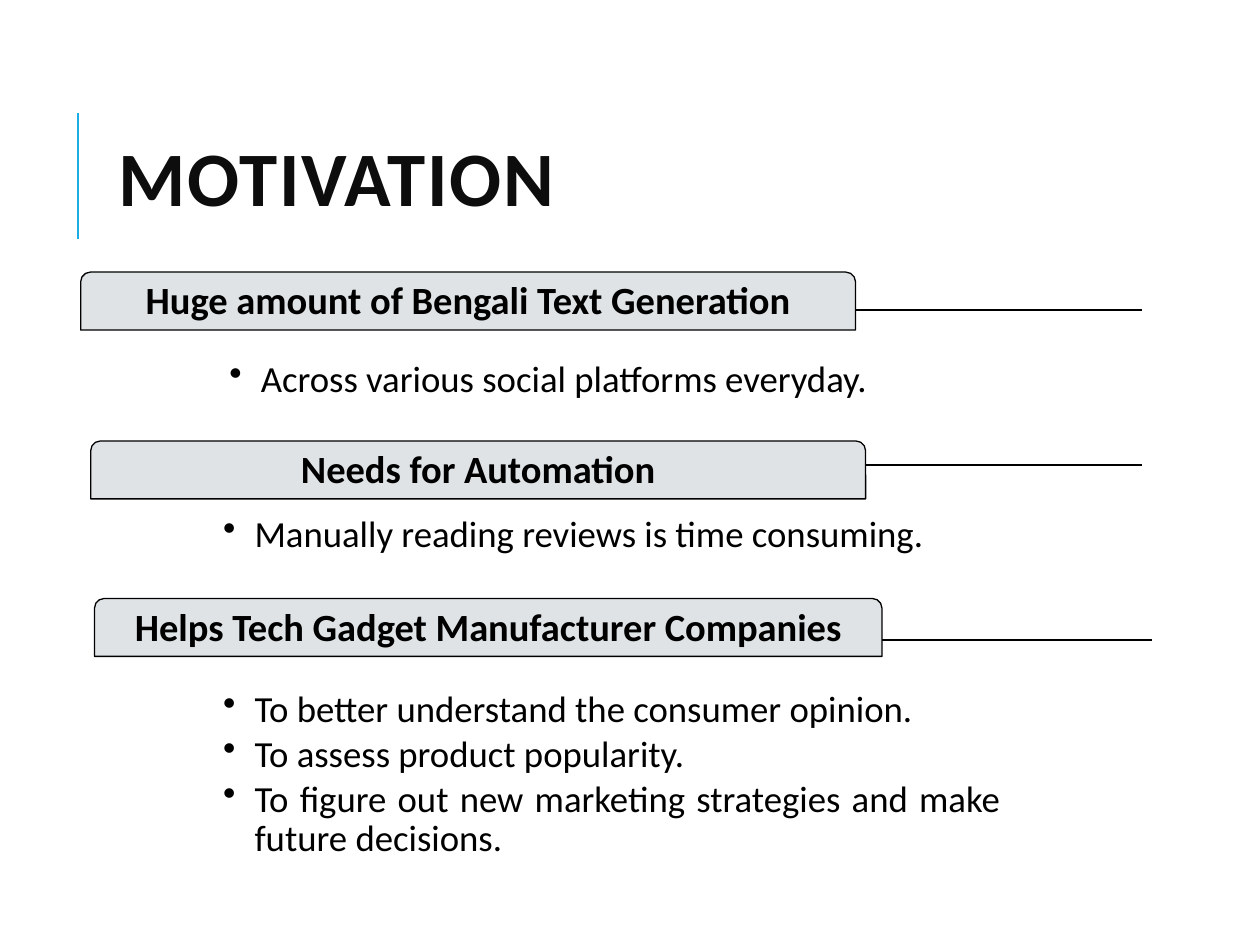
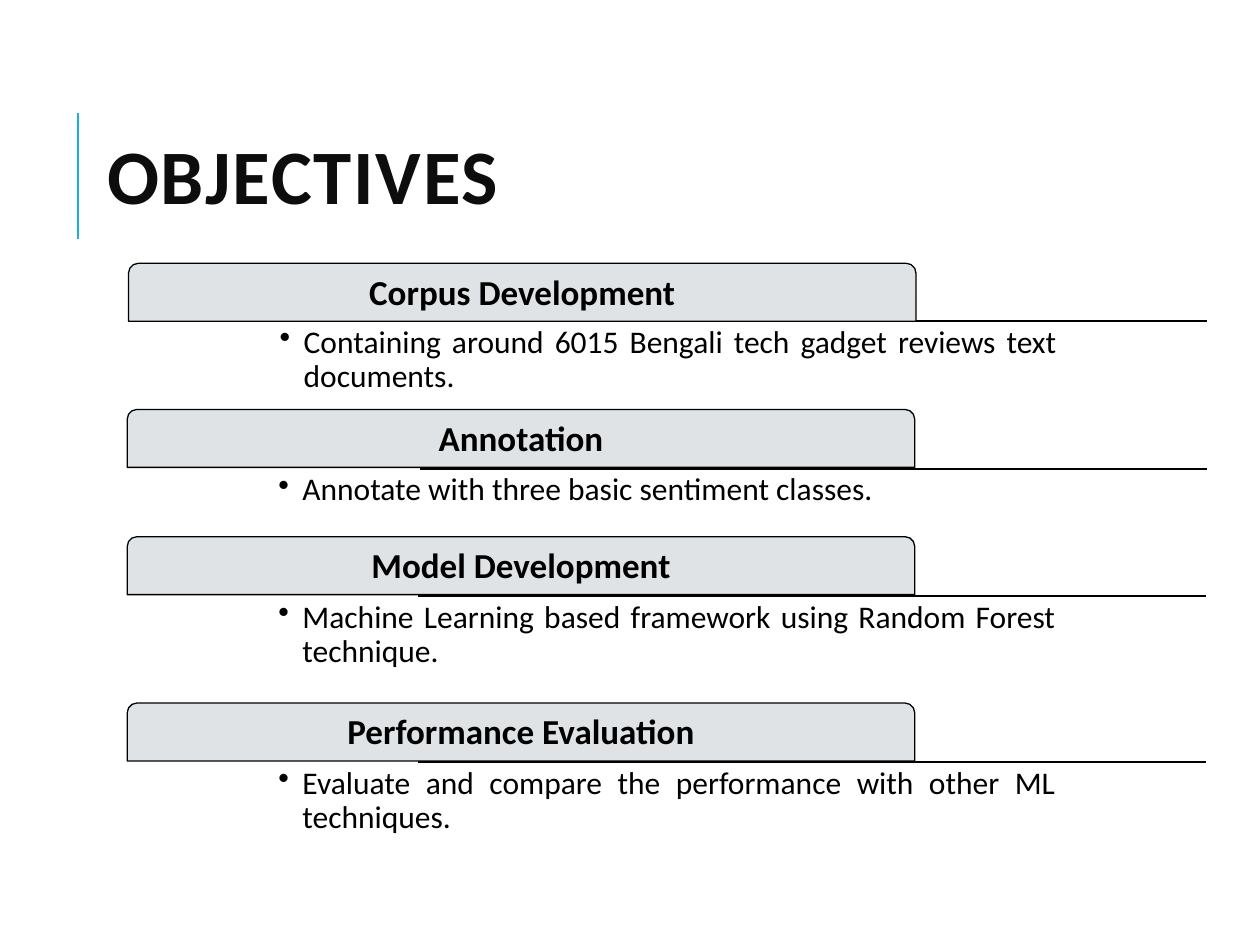
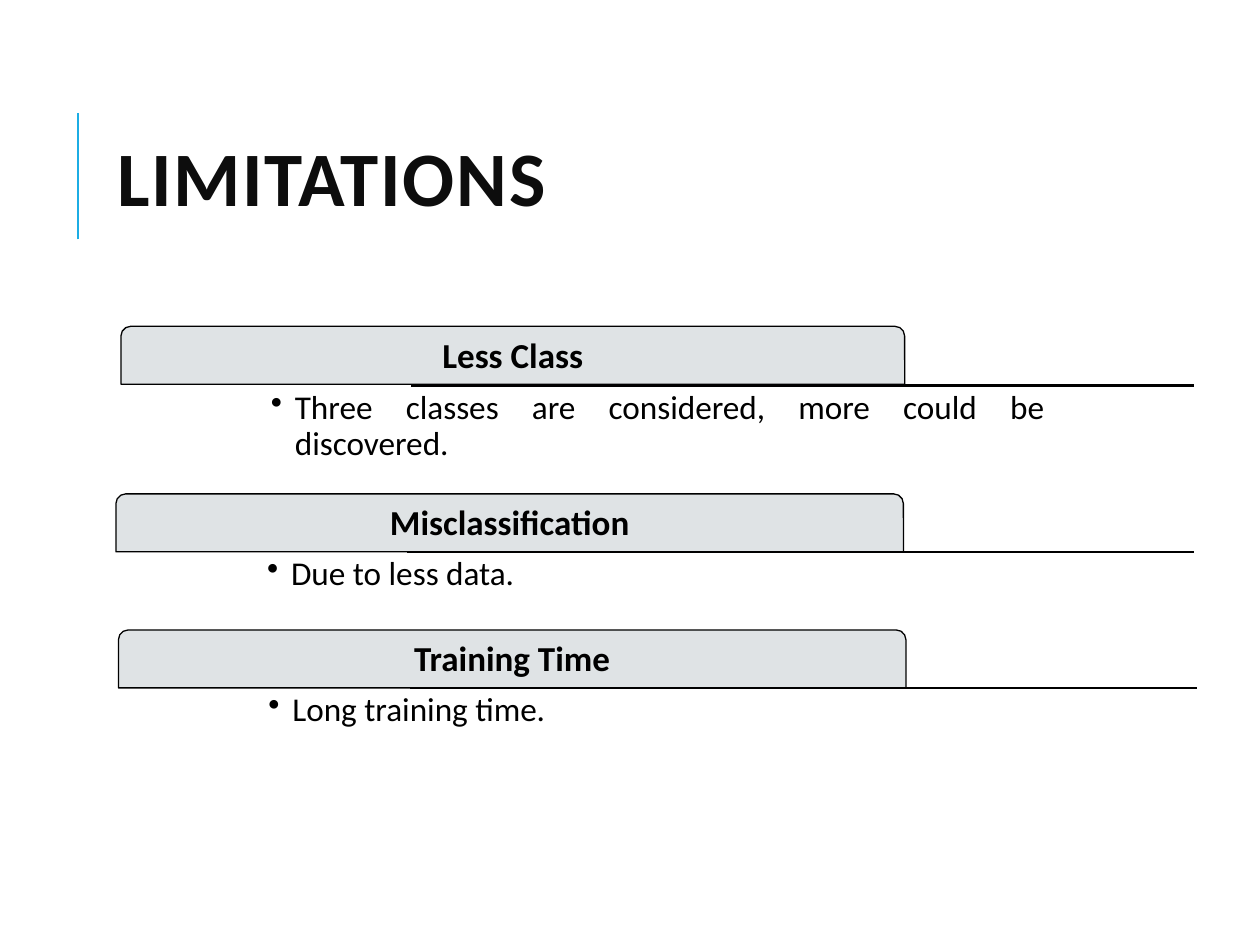
import pptx
import pptx.dml.color
import pptx.enum.shapes
import pptx.enum.text
import pptx.oxml.ns
import pptx.util
from lxml import etree

Inches = pptx.util.Inches
Pt = pptx.util.Pt
ALIGN = pptx.enum.text.PP_ALIGN
ANCHOR = pptx.enum.text.MSO_ANCHOR
qn = pptx.oxml.ns.qn


def rgb(value):
    return pptx.dml.color.RGBColor.from_string(value)


class Deck:
    FONT = "Calibri"
    INK = "000000"
    TITLE_INK = "0D0D0D"
    ACCENT = "1CADE4"
    TAB_FILL = "DFE3E5"
    TAB_HEIGHT = 0.46

    def __init__(self):
        self.presentation = pptx.Presentation()
        self.presentation.slide_width = Inches(10)
        self.presentation.slide_height = Inches(7.5)
        self.slide = None

    def start(self, title, left, top):
        layout = self.presentation.slide_layouts.get_by_name("Title Only")
        self.slide = self.presentation.slides.add_slide(layout)
        self.rule(0.62, 1.9, 0.62, 0.9, self.ACCENT, 1.5)
        heading = self.slide.shapes.title
        heading.left, heading.top = Inches(left), Inches(top)
        heading.width, heading.height = Inches(7.97), Inches(1.64)
        frame = heading.text_frame
        frame.auto_size = pptx.enum.text.MSO_AUTO_SIZE.NONE
        frame.vertical_anchor = ANCHOR.MIDDLE
        run = self.add_text(frame.paragraphs[0], title, 44, self.TITLE_INK, True, ALIGN.LEFT, 0.8)
        run._r.get_or_add_rPr().set("spc", "100")

    def add_text(self, paragraph, text, size, color, bold, align, spacing):
        paragraph.alignment = align
        paragraph.line_spacing = spacing
        run = paragraph.add_run()
        run.text = text
        run.font.name = self.FONT
        run.font.size = Pt(size)
        run.font.bold = bold
        run.font.color.rgb = rgb(color)
        return run

    def inset(self, frame, margin):
        frame.word_wrap = True
        frame.margin_left = frame.margin_right = Inches(margin)
        frame.margin_top = frame.margin_bottom = Inches(margin)

    def rule(self, x1, y1, x2, y2, color, weight):
        line = self.slide.shapes.add_connector(
            pptx.enum.shapes.MSO_CONNECTOR.STRAIGHT,
            Inches(x1), Inches(y1), Inches(x2), Inches(y2))
        line.line.color.rgb = rgb(color)
        line.line.width = Pt(weight)
        etree.SubElement(line._element.spPr, qn("a:effectLst"))

    def tab(self, heading, left, top, width, size):
        tab = self.slide.shapes.add_shape(
            pptx.enum.shapes.MSO_SHAPE.ROUND_2_SAME_RECTANGLE,
            Inches(left), Inches(top), Inches(width), Inches(self.TAB_HEIGHT))
        tab.adjustments[0] = 0.167
        tab.shadow.inherit = False
        tab.fill.solid()
        tab.fill.fore_color.rgb = rgb(self.TAB_FILL)
        tab.line.color.rgb = rgb(self.INK)
        tab.line.width = Pt(0.75)
        frame = tab.text_frame
        self.inset(frame, 0.05)
        frame.vertical_anchor = ANCHOR.MIDDLE
        self.add_text(frame.paragraphs[0], heading, size, self.INK, True, ALIGN.CENTER, 0.9)

    def bullets(self, points, left, top, width, size, indent):
        height = 0.45 + 0.45 * len(points)
        body = self.slide.shapes.add_textbox(
            Inches(left), Inches(top), Inches(width), Inches(height))
        frame = body.text_frame
        self.inset(frame, 0.04)
        for number, point in enumerate(points):
            paragraph = frame.add_paragraph() if number else frame.paragraphs[0]
            properties = paragraph._p.get_or_add_pPr()
            properties.set("marL", str(Inches(indent)))
            properties.set("indent", str(-Inches(indent)))
            etree.SubElement(properties, qn("a:buChar")).set("char", "•")
            paragraph.space_after = Pt(3)
            self.add_text(paragraph, point, size, self.INK, False, ALIGN.JUSTIFY, 0.9)

    def sections(self, rows, heading_size, point_size, indent, gap=0):
        for heading, left, top, width, rule_from, rule_to, rule_y, body_left, points in rows:
            self.rule(rule_from, rule_y, rule_to, rule_y, self.INK, 1.25)
            self.tab(heading, left, top, width, heading_size)
            self.bullets(points, body_left, rule_y + gap, width, point_size, indent)


MOTIVATION = [
    ("Huge amount of Bengali Text Generation", 0.64, 2.16, 6.15, 2.92, 9.06, 2.46, 1.78,
     ["Across various social platforms everyday."]),
    ("Needs for Automation", 0.72, 3.5, 6.15, 2.86, 9.06, 3.69, 1.73,
     ["Manually reading reviews is time consuming."]),
    ("Helps Tech Gadget Manufacturer Companies", 0.75, 4.75, 6.25, 2.89, 9.14, 5.08, 1.73,
     ["To better understand the consumer opinion.",
      "To assess product popularity.",
      "To figure out new marketing strategies and make future decisions."]),
]
OBJECTIVES = [
    ("Corpus Development", 1.02, 2.09, 6.25, 3.33, 9.58, 2.55, 2.18,
     ["Containing around 6015 Bengali tech gadget reviews text documents."]),
    ("Annotation", 1.01, 3.25, 6.25, 3.33, 9.58, 3.72, 2.17,
     ["Annotate with three basic sentiment classes."]),
    ("Model Development", 1.01, 4.26, 6.25, 3.32, 9.57, 4.73, 2.17,
     ["Machine Learning based framework using Random Forest technique."]),
    ("Performance Evaluation", 1.01, 5.58, 6.25, 3.32, 9.57, 6.05, 2.17,
     ["Evaluate and compare the performance with other ML techniques."]),
]
LIMITATIONS = [
    ("Less Class", 0.96, 2.59, 6.22, 3.26, 9.48, 3.06, 2.11,
     ["Three classes are considered, more could be discovered."]),
    ("Misclassification", 0.92, 3.92, 6.25, 3.23, 9.48, 4.38, 2.08,
     ["Due to less data."]),
    ("Training Time", 0.94, 5, 6.25, 3.25, 9.5, 5.46, 2.09,
     ["Long training time."]),
]


def main():
    deck = Deck()
    deck.start("MOTIVATION", 0.84, 0.64)
    deck.sections(MOTIVATION, 22, 21, 0.25, gap=0.36)
    deck.start("OBJECTIVES", 0.75, 0.63)
    deck.sections(OBJECTIVES, 20, 18, 0.19)
    deck.start("LIMITATIONS", 0.83, 0.64)
    deck.sections(LIMITATIONS, 20, 19, 0.19)
    deck.presentation.save("out.pptx")


if __name__ == "__main__":
    main()
